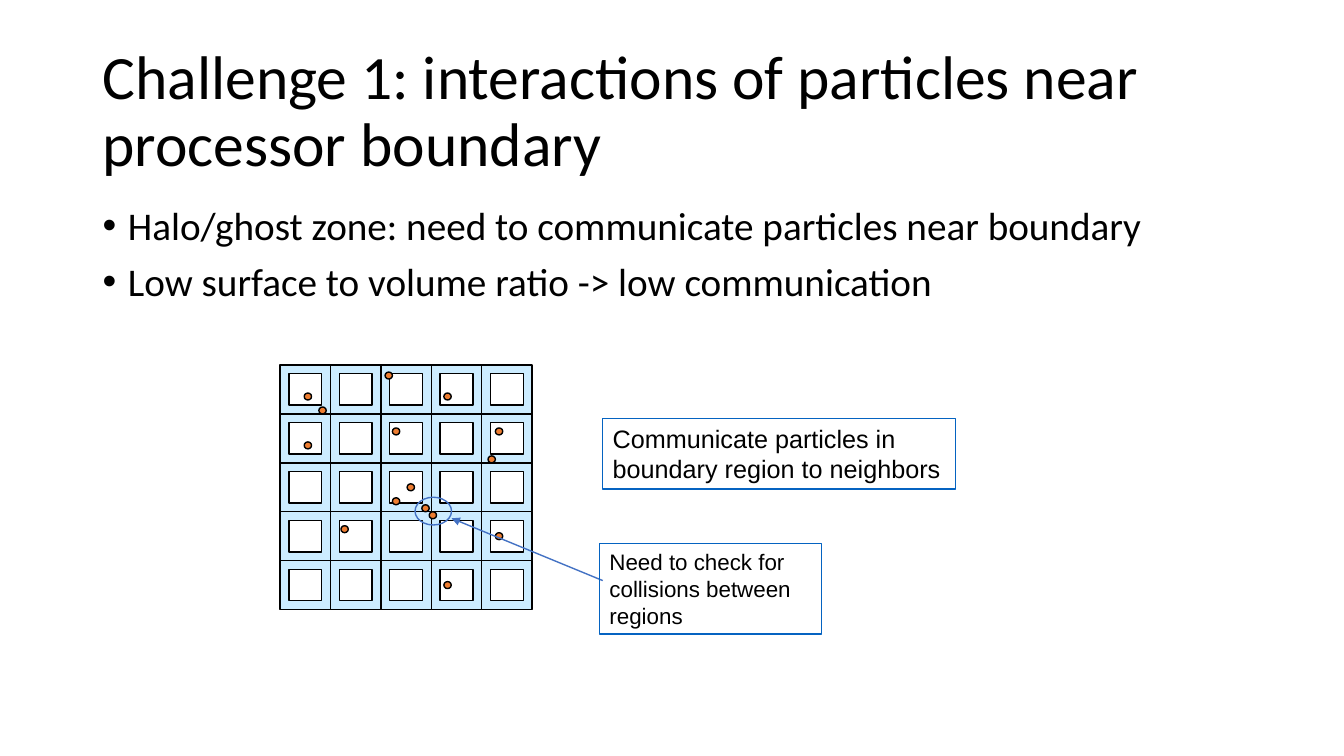
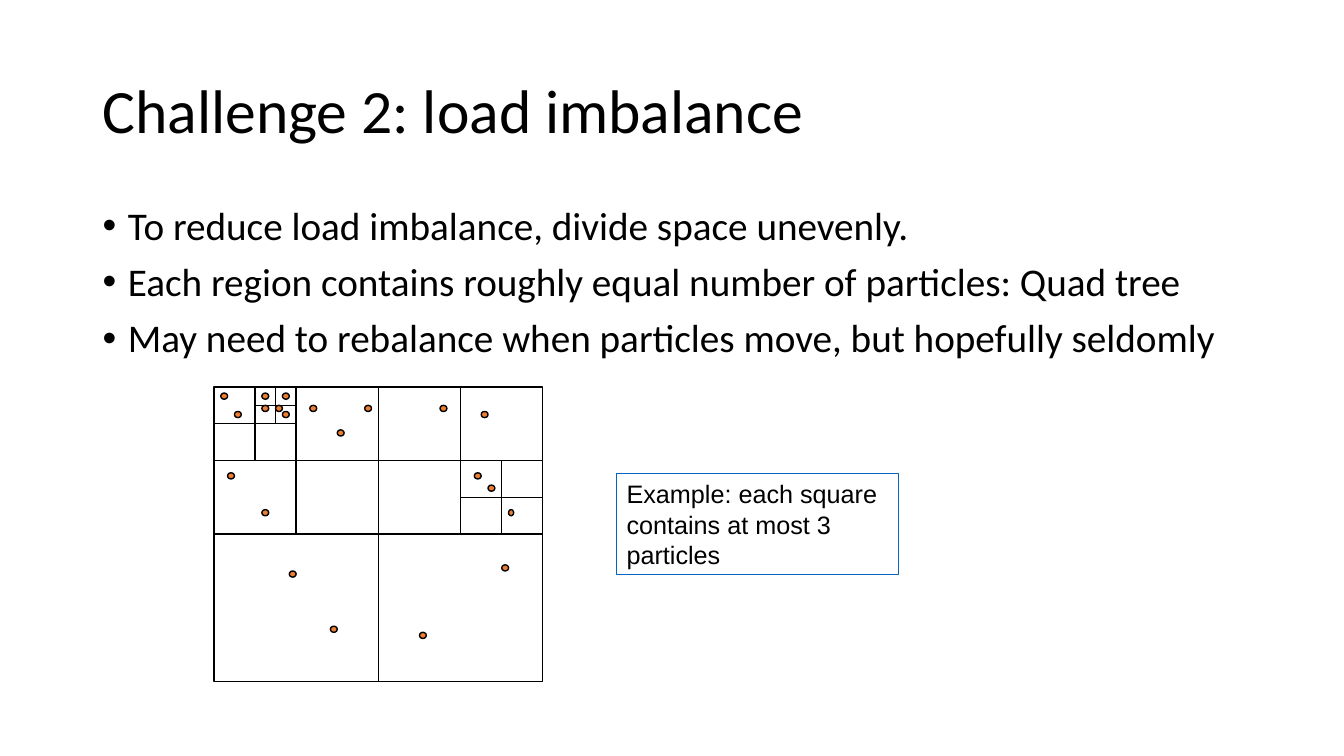
from typing import NamedTuple

from lxml.etree import SubElement
from pptx import Presentation
from pptx.dml.color import RGBColor
from pptx.enum.shapes import MSO_CONNECTOR, MSO_SHAPE
from pptx.enum.text import MSO_ANCHOR, MSO_AUTO_SIZE, PP_ALIGN
from pptx.oxml.ns import qn
from pptx.util import Cm, Pt

RECTANGLE, OVAL = MSO_SHAPE.RECTANGLE, MSO_SHAPE.OVAL
STRAIGHT = MSO_CONNECTOR.STRAIGHT
TOP, MIDDLE = MSO_ANCHOR.TOP, MSO_ANCHOR.MIDDLE
LEFT = PP_ALIGN.LEFT
NO_FIT = MSO_AUTO_SIZE.NONE

BLACK, WHITE = "000000", "FFFFFF"
HALO, PARTICLE = "CCECFF", "ED7D31"
CALLOUT, POINTER = "0563C1", "4472C4"
HEAD_FONT, NOTE_FONT = "Calibri", "Arial"


class Box(NamedTuple):
    """A region in centimetres."""
    left: float
    top: float
    width: float
    height: float


TITLE_BOX = Box(2.33, 1.01, 29.21, 3.68)
BODY_BOX = Box(2.33, 5.07, 29.21, 12.09)

# Particles as (column, row) on a fine lattice over each diagram
HALO_LATTICE = (34, 35)
HALO_PARTICLES = [
    (3, 4), (5, 6), (3, 11), (15, 19), (14, 1), (17, 17), (8, 23), (19, 20),
    (28, 13), (20, 21), (22, 4), (22, 31), (29, 24), (29, 9), (15, 9)]
TREE_LATTICE = (48, 48)
TREE_PARTICLES = [
    (30, 40), (11, 30), (42, 29), (17, 39), (2, 14), (7, 20), (38, 14),
    (40, 16), (18, 7), (14, 3), (22, 3), (7, 1), (7, 3), (10, 1), (9, 3),
    (10, 4), (1, 1), (3, 4), (33, 3), (39, 4)]
NARROW_PARTICLE = (43, 20)

# Dividing lines of the tree, in sixteenths of its side
TREE_SIDE = 16
TREE_SPLITS = [
    (0, 8, 16, 8), (8, 0, 8, 16), (0, 4, 16, 4), (4, 0, 4, 8), (12, 0, 12, 8),
    (2, 0, 2, 4), (0, 2, 4, 2), (3, 0, 3, 2), (2, 1, 4, 1),
    (12, 6, 16, 6), (14, 4, 14, 8)]


def color(code):
    """Turn a hex string into a colour."""
    return RGBColor.from_string(code)


def add_shape(shapes, kind, box, line, fill=None):
    """Add a flat outlined shape, filled when a fill is given."""
    shape = shapes.add_shape(kind, *map(Cm, box))
    shape.shadow.inherit = False
    if fill:
        shape.fill.solid()
        shape.fill.fore_color.rgb = color(fill)
    else:
        shape.fill.background()
    shape.line.color.rgb = color(line)
    shape.line.width = Pt(1)
    return shape


def add_line(shapes, start, end, code, arrow=False):
    """Add a straight line, with an arrowhead at its end on request."""
    line = shapes.add_connector(STRAIGHT, *map(Cm, (*start, *end)))
    line.line.color.rgb = color(code)
    line.line.width = Pt(1)
    properties = line.element.spPr
    if arrow:
        SubElement(properties.find(qn("a:ln")), qn("a:tailEnd"), type="triangle")
    SubElement(properties, qn("a:effectLst"))


def style_paragraph(para, font, size, before=0, spacing=1.0):
    """Format one paragraph and its runs."""
    para.alignment = LEFT
    para.space_before = Pt(before)
    para.line_spacing = spacing
    for span in para.runs:
        span.font.name = font
        span.font.size = Pt(size)
        span.font.color.rgb = color(BLACK)


def place_placeholder(holder, box, text, anchor):
    """Move a placeholder to its box and give it text."""
    holder.left, holder.top, holder.width, holder.height = map(Cm, box)
    frame = holder.text_frame
    frame.text = text
    frame.word_wrap = True
    frame.auto_size = NO_FIT
    frame.vertical_anchor = anchor
    return frame.paragraphs


def add_page(deck, title, points):
    """Add a slide with a title and a bulleted list."""
    page = deck.slides.add_slide(deck.slide_layouts[1])
    heading, body = page.placeholders
    for para in place_placeholder(heading, TITLE_BOX, title, MIDDLE):
        style_paragraph(para, HEAD_FONT, 44, spacing=0.9)
    for para in place_placeholder(body, BODY_BOX, "\n".join(points), TOP):
        style_paragraph(para, HEAD_FONT, 28, before=10, spacing=0.9)
        layout = para._p.get_or_add_pPr()
        layout.set("marL", str(Cm(0.64)))
        layout.set("indent", str(Cm(-0.64)))
    return page


def add_callout(page, box, text, size):
    """Add an outlined note."""
    frame = add_shape(page.shapes, RECTANGLE, box, CALLOUT).text_frame
    frame.text = text
    frame.word_wrap = True
    frame.vertical_anchor = TOP
    style_paragraph(frame.paragraphs[0], NOTE_FONT, size, before=size / 2)


def add_particles(shapes, box, lattice, places, width=1.0):
    """Draw particles one lattice step in size; width scales them sideways."""
    across, down = box.width / lattice[0], box.height / lattice[1]
    for column, row in places:
        spot = Box(box.left + column * across, box.top + row * down,
                   across * width, down)
        add_shape(shapes, OVAL, spot, BLACK, PARTICLE)


def add_halo_grid(page, box, count=5, inset=0.22):
    """Draw square regions, each with a halo zone around its core."""
    shapes = page.shapes.add_group_shape().shapes
    width, height = box.width / count, box.height / count
    for column in range(count):
        for row in range(count):
            left, top = box.left + column * width, box.top + row * height
            cell = Box(left, top, width, height)
            core = Box(left + inset, top + inset,
                       width - 2 * inset, height - 2 * inset)
            add_shape(shapes, RECTANGLE, cell, BLACK, HALO)
            add_shape(shapes, RECTANGLE, core, BLACK, WHITE)


def add_quad_tree(page, box):
    """Draw a square divided unevenly, with its particles."""
    shapes = page.shapes.add_group_shape().shapes
    add_shape(shapes, RECTANGLE, box, BLACK)

    def point(column, row):
        """Find a point of the tree in centimetres."""
        return (box.left + column * box.width / TREE_SIDE,
                box.top + row * box.height / TREE_SIDE)

    for x1, y1, x2, y2 in TREE_SPLITS:
        add_line(shapes, point(x1, y1), point(x2, y2), BLACK)
    add_particles(shapes, box, TREE_LATTICE, TREE_PARTICLES)


def add_boundary_page(deck):
    """Slide on particles near processor boundaries."""
    page = add_page(
        deck, "Challenge 1: interactions of particles near processor boundary",
        ["Halo/ghost zone: need to communicate particles near boundary",
         "Low surface to volume ratio -> low communication"])
    grid = Box(7.06, 9.2, 6.35, 6.16)
    add_halo_grid(page, grid)
    add_callout(page, Box(15.19, 10.54, 8.89, 1.78),
                "Communicate particles in boundary region to neighbors", 18)
    particle_box = Box(grid.left + 0.05, grid.top, 6.3, grid.height)
    add_particles(page.shapes, particle_box, HALO_LATTICE, HALO_PARTICLES)
    add_shape(page.shapes, OVAL, Box(10.46, 12.53, 0.92, 0.7), POINTER)
    add_line(page.shapes, (15.19, 14.63), (11.38, 13.06), POINTER, arrow=True)
    add_callout(page, Box(15.11, 13.69, 5.59, 2.29),
                "Need to check for collisions between regions", 16)


def add_imbalance_page(deck):
    """Slide on load imbalance and the quad tree."""
    page = add_page(
        deck, "Challenge 2: load imbalance",
        ["To reduce load imbalance, divide space unevenly.",
         "Each region contains roughly equal number of particles: Quad tree",
         "May need to rebalance when particles move, but hopefully seldomly"])
    tree = Box(5.39, 9.75, 8.29, 7.42)
    add_quad_tree(page, tree)
    add_callout(page, Box(15.54, 11.94, 7.11, 2.54),
                "Example: each square contains at most 3 particles", 18)
    add_particles(page.shapes, tree, TREE_LATTICE, [NARROW_PARTICLE], width=0.75)


def main():
    """Build and save the deck."""
    deck = Presentation()
    deck.slide_width, deck.slide_height = Cm(33.87), Cm(19.05)
    add_boundary_page(deck)
    add_imbalance_page(deck)
    deck.save("out.pptx")


main()
